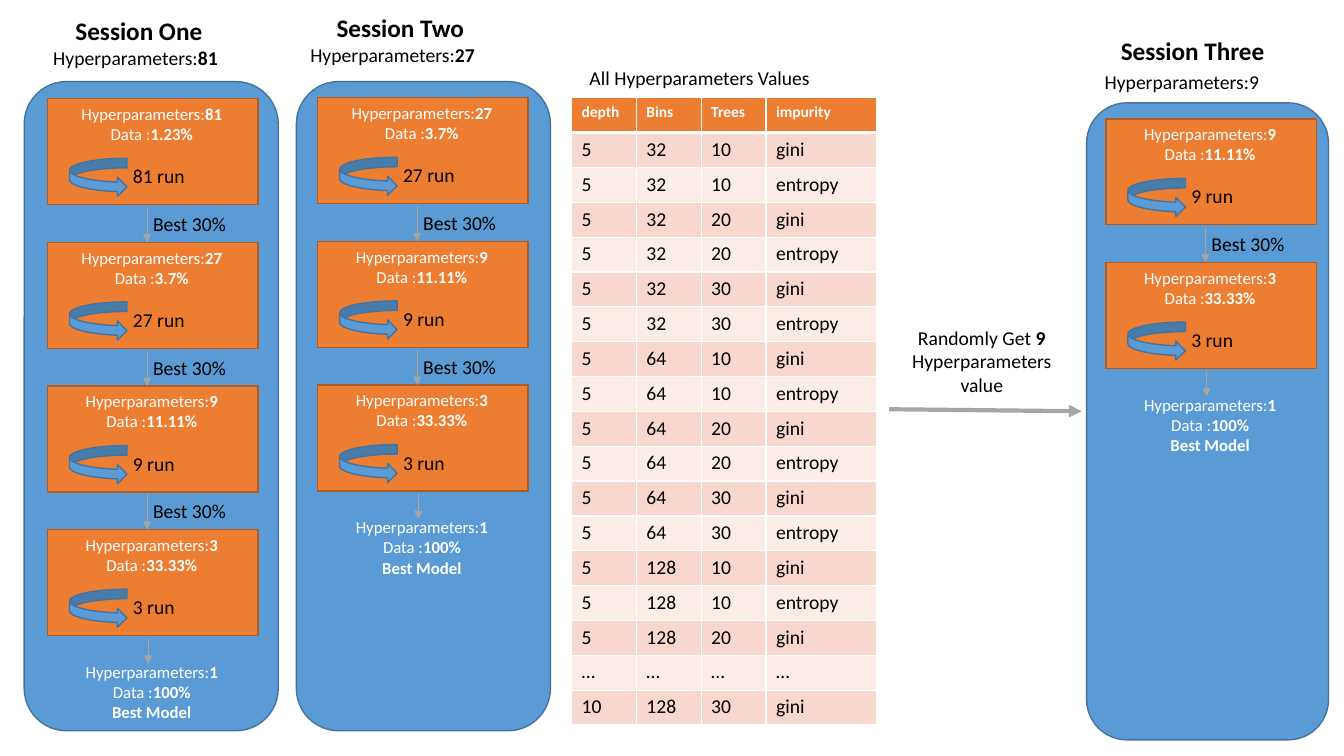
"""Draw three tuning sessions and the table of hyperparameter values."""
import itertools

import pptx
import pptx.dml.color
import pptx.enum.shapes
import pptx.enum.text
import pptx.oxml
import pptx.oxml.ns
import pptx.util

RGB = pptx.dml.color.RGBColor
BLUE = RGB(0x5B, 0x9B, 0xD5)
NAVY = RGB(0x43, 0x73, 0x9E)
ORANGE = RGB(0xED, 0x7D, 0x31)
RUST = RGB(0xAF, 0x5C, 0x24)
GRAY = RGB(0xA5, 0xA5, 0xA5)
ROSE = RGB(0xF8, 0xD7, 0xCE)
PALE = RGB(0xFC, 0xEC, 0xE8)
BLACK = RGB(0, 0, 0)
WHITE = RGB(0xFF, 0xFF, 0xFF)

SHAPE = pptx.enum.shapes.MSO_SHAPE
ALIGN = pptx.enum.text.PP_ALIGN
CELL = pptx.util.Inches(0.1)

deck = pptx.Presentation()
deck.slide_width = int(133.33 * CELL)
deck.slide_height = 75 * CELL
slide = deck.slides.add_slide(deck.slide_layouts[6])
shapes = slide.shapes


def block(kind, area, fill, edge):
    """Add a filled shape on the grid."""
    shape = shapes.add_shape(kind, *[int(n * CELL) for n in area])
    shape.shadow.inherit = False
    shape.fill.solid()
    shape.fill.fore_color.rgb = fill
    shape.line.color.rgb = edge
    shape.line.width = pptx.util.Pt(1)


def write(area, lines, size=14, color=BLACK, align=ALIGN.LEFT):
    """Add a text box whose lines are lists of (words, bold) runs."""
    frame = shapes.add_textbox(*[int(n * CELL) for n in area]).text_frame
    frame.word_wrap = True
    frame.auto_size = pptx.enum.text.MSO_AUTO_SIZE.SHAPE_TO_FIT_TEXT
    for i, line in enumerate(lines):
        para = frame.paragraphs[0] if i == 0 else frame.add_paragraph()
        para.alignment = align
        for words, bold in line:
            run = para.add_run()
            run.text = words
            run.font.name = "Calibri"
            run.font.size = pptx.util.Pt(size)
            run.font.bold = bold
            run.font.color.rgb = color


stages = [("81", "1.23%"), ("27", "3.7%"), ("9", "11.11%"), ("3", "33.33%")]
sessions = [
    ("One", (6.5, 1), (4.3, 4.1), (2.4, 8.1, 25.2, 64.4), (4.7, 9.8), True),
    ("Two", (32.4, 0.7), (29.8, 3.8), (29.4, 8.1, 25.2, 64.4), (31.5, 9.7), True),
    ("Three", (110.2, 3), (108.6, 6.4), (107.8, 10.2, 24, 63.2), (109.7, 11.8), False),
]
WIDE, TALL, STEP, GAP = 20.9, 10.5, 14.25, 3.5
arrows = [(88.2, 40.6, 107.3, 40.8, 3)]

for skip, (name, head, sub, panel, (left, top), bold) in enumerate(sessions):
    block(SHAPE.ROUNDED_RECTANGLE, panel, BLUE, NAVY)
    write((*head, 18.2, 4), [[("Session " + name, True)]], 18)
    write((*sub, 21.4, 3.4), [[("Hyperparameters:", False), (stages[skip][0], bold)]])
    for row, (count, share) in enumerate(stages[skip:]):
        y = top + row * STEP
        block(SHAPE.RECTANGLE, (left, y, WIDE, TALL), ORANGE, RUST)
        write((left - 0.1, y, WIDE, 5),
              [[("Hyperparameters:", False), (count, True)],
               [("Data :", False), (share, True)]], 12, WHITE, ALIGN.CENTER)
        block(SHAPE.CURVED_RIGHT_ARROW, (left + 2.2, y + 5.9, 5.7, 3.8), BLUE, NAVY)
        write((left + 7.5, y + 6, 7.7, 3.4), [[(count + " run", False)]])
        if row > 0:
            write((left + 9.5, y - GAP, 10.1, 3.4), [[("Best 30%", False)]])
            arrows.append((left + 9.9, y - GAP, left + 9.9, y, 0.5))
    end = y + TALL
    arrows.append((left + 10, end + 0.3, left + 10, end + 2.8, 0.5))
    write((left - 0.1, end + 2.1, WIDE, 7.1),
          [[("Hyperparameters:", False), ("1", True)],
           [("Data :", False), ("100%", True)],
           [("Best Model", True)]], 12, WHITE, ALIGN.CENTER)

for *ends, width in arrows:
    arrow = shapes.add_connector(
        pptx.enum.shapes.MSO_CONNECTOR.STRAIGHT, *[int(n * CELL) for n in ends])
    arrow.line.color.rgb = GRAY
    arrow.line.width = pptx.util.Pt(width)
    tip = pptx.oxml.parse_xml(
        f'<a:tailEnd {pptx.oxml.ns.nsdecls("a")} type="triangle"/>')
    arrow.line._get_or_add_ln().append(tip)
    arrow._element.spPr.append(
        pptx.oxml.parse_xml(f'<a:effectLst {pptx.oxml.ns.nsdecls("a")}/>'))

write((57.5, 6, 28.3, 3.4), [[("All Hyperparameters Values", False)]])
write((87.8, 31.8, 19.2, 8.1),
      [[("Randomly Get ", False), ("9", True)],
       [("Hyperparameters", False)], [("value", False)]], align=ALIGN.CENTER)

combos = itertools.product(("32", "64", "128"), ("10", "20", "30"), ("gini", "entropy"))
rows = [("depth", "Bins", "Trees", "impurity")]
rows += [("5", *combo) for combo in itertools.islice(combos, 15)]
rows += [("…",) * 4, ("10", "128", "30", "gini")]
widths = (6.43, 6.43, 6.43, 11)
high = 3.46
grid = shapes.add_table(
    len(rows), 4, int(56.7 * CELL), int(9.7 * CELL),
    int(sum(widths) * CELL), int(len(rows) * high * CELL)).table
for col, width in zip(grid.columns, widths):
    col.width = int(width * CELL)
for r, row in enumerate(rows):
    grid.rows[r].height = int(high * CELL)
    for c, words in enumerate(row):
        cell = grid.cell(r, c)
        cell.fill.solid()
        cell.fill.fore_color.rgb = ORANGE if r == 0 else ROSE if r % 2 else PALE
        run = cell.text_frame.paragraphs[0].add_run()
        run.text = words
        run.font.name = "Calibri"
        run.font.size = pptx.util.Pt(14 if r else 11)
        run.font.bold = r == 0
        run.font.color.rgb = BLACK if r else WHITE
        props = cell._tc.get_or_add_tcPr()
        for i, side in enumerate("LRTB"):
            thick = 3 if (r, side) in ((0, "B"), (1, "T")) else 1
            props.insert(i, pptx.oxml.parse_xml(
                f'<a:ln{side} {pptx.oxml.ns.nsdecls("a")} w="{pptx.util.Pt(thick)}">'
                f'<a:solidFill><a:srgbClr val="{WHITE}"/></a:solidFill></a:ln{side}>'))

deck.save("out.pptx")
